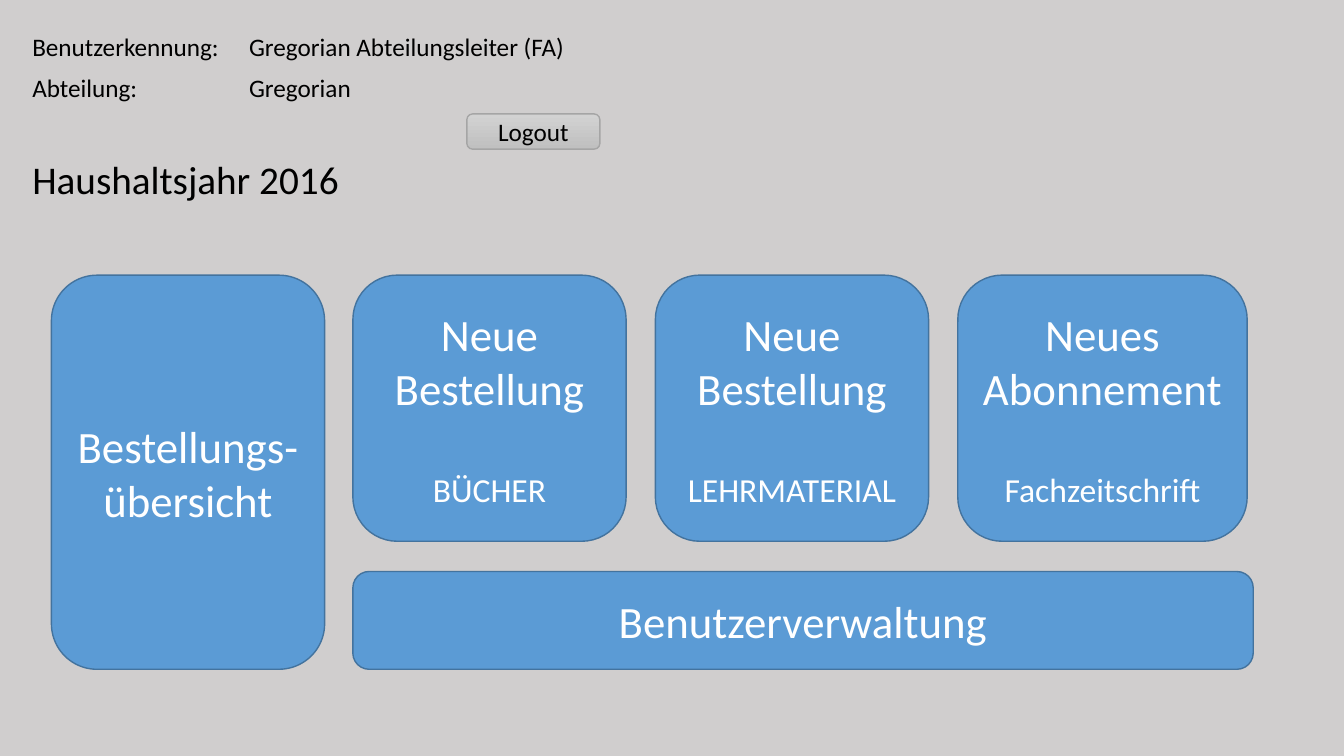
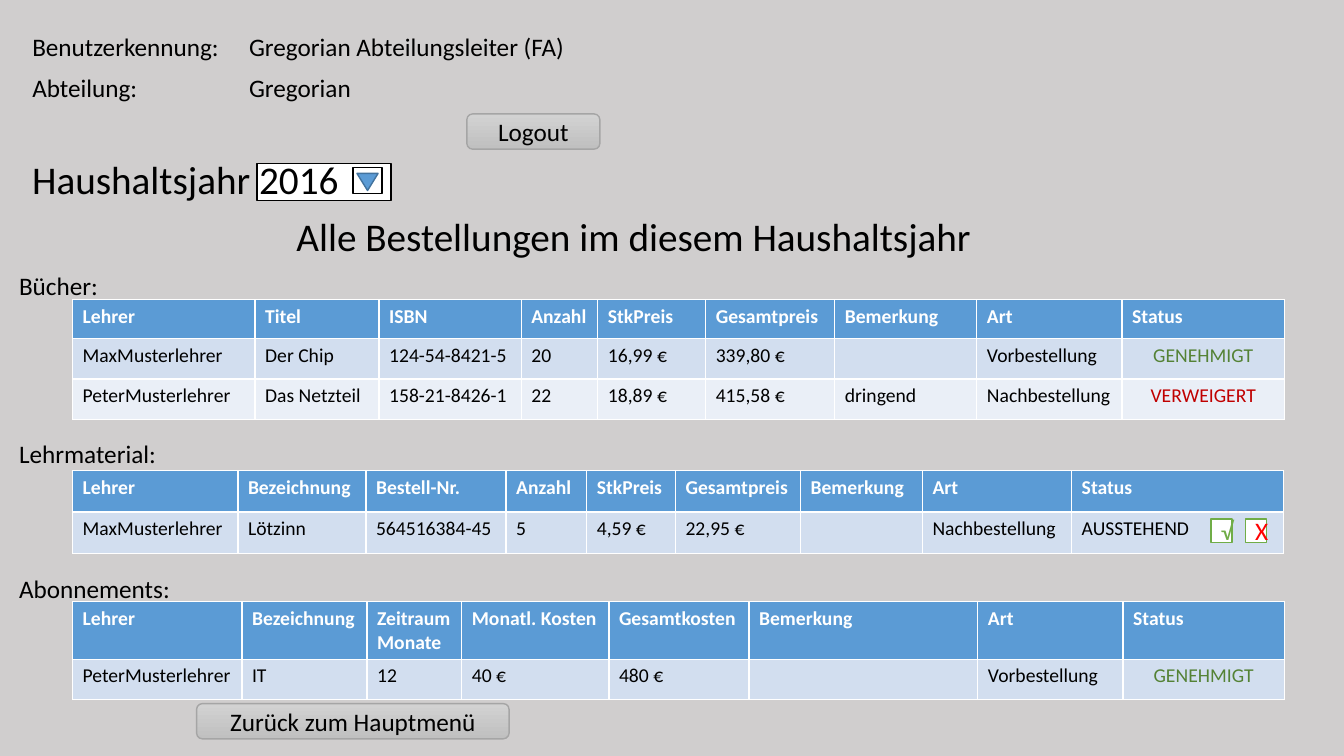
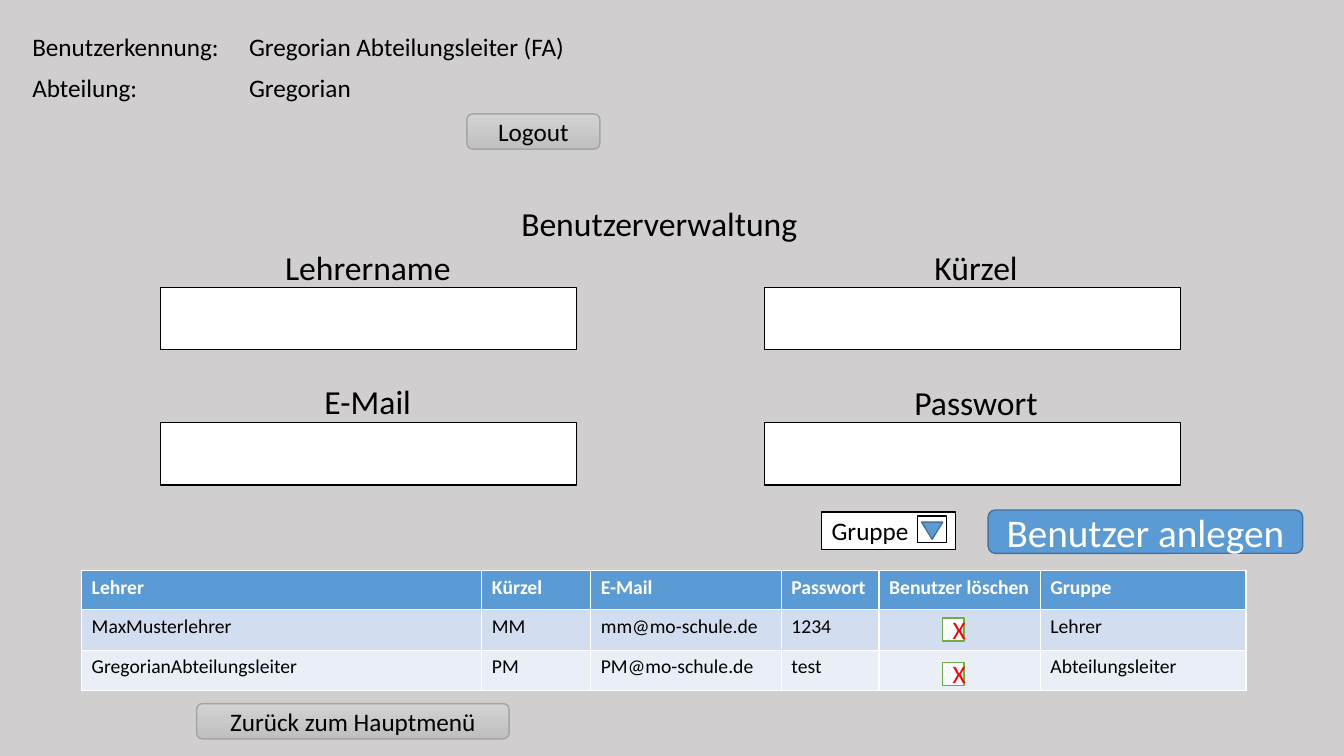
from pptx import Presentation
from pptx.dml.color import RGBColor
from pptx.enum.shapes import MSO_SHAPE
from pptx.enum.text import MSO_ANCHOR, MSO_AUTO_SIZE, PP_ALIGN
from pptx.oxml.ns import qn
from pptx.util import Inches, Pt

FONT = "Calibri"
BACKGROUND = RGBColor(0xD0, 0xCE, 0xCE)
BLACK = RGBColor(0x00, 0x00, 0x00)
WHITE = RGBColor(0xFF, 0xFF, 0xFF)
BLUE = RGBColor(0x5B, 0x9B, 0xD5)
DARK_BLUE = RGBColor(0x43, 0x73, 0x9E)
BAND_DARK = RGBColor(0xD2, 0xDE, 0xEF)
BAND_LIGHT = RGBColor(0xEA, 0xEF, 0xF7)
BUTTON_TOP = RGBColor(0xD2, 0xD2, 0xD2)
BUTTON_BOTTOM = RGBColor(0xC0, 0xC0, 0xC0)
BUTTON_LINE = RGBColor(0xA5, 0xA5, 0xA5)
GREEN = RGBColor(0x70, 0xAD, 0x47)
RED = RGBColor(0xFF, 0x00, 0x00)
STATUS_COLORS = {
    "GENEHMIGT": RGBColor(0x54, 0x82, 0x35),
    "VERWEIGERT": RGBColor(0xC0, 0x00, 0x00),
}
PLAIN_TABLE_STYLE = "{2D5ABB26-0587-4C30-8999-92F81FD0307C}"


def write_text(frame, text, size=18, color=BLACK, bold=False, align=PP_ALIGN.LEFT, space_before=0):
    for line in text.split("\n"):
        paragraph = frame.add_paragraph() if frame.text else frame.paragraphs[0]
        paragraph.alignment = align
        paragraph.space_before = Pt(space_before)
        run = paragraph.add_run()
        run.text = line
        run.font.name = FONT
        run.font.size = Pt(size)
        run.font.bold = bold
        run.font.color.rgb = color


def draw_shape(slide, kind, box, fill, line, text="", align=PP_ALIGN.CENTER, **text_format):
    shape = slide.shapes.add_shape(kind, *map(Inches, box))
    shape.shadow.inherit = False
    if fill == BUTTON_TOP:
        shape.fill.gradient()
        shape.fill.gradient_angle = 270
        for stop, color in zip(shape.fill.gradient_stops, (BUTTON_TOP, BUTTON_BOTTOM)):
            stop.color.rgb = color
    else:
        shape.fill.solid()
        shape.fill.fore_color.rgb = fill
    shape.line.color.rgb = line
    shape.line.width = Pt(1)
    if text:
        write_text(shape.text_frame, text, align=align, **text_format)
    return shape


presentation = Presentation()
presentation.slide_width = Inches(13.33)
presentation.slide_height = Inches(7.5)
master_fill = presentation.slide_master.background.fill
master_fill.solid()
master_fill.fore_color.rgb = BACKGROUND

YEAR_BOX = (0.22, 1.49, 3.28, 0.57)
titles = [
    ("Haushaltsjahr 2016", YEAR_BOX, 28),
    ("Alle Bestellungen im diesem Haushaltsjahr", (2.84, 2.06, 6.96, 0.57), 28),
    ("Benutzerverwaltung", (5.07, 1.96, 2.97, 0.5), 24),
]
user_details = [
    ("Benutzerkennung:", "Gregorian Abteilungsleiter (FA)"),
    ("Abteilung:", "Gregorian"),
    ("", ""),
]
for text, box, size in titles:
    slide = presentation.slides.add_slide(presentation.slide_layouts[5])
    title = slide.shapes.title
    title.left, title.top, title.width, title.height = map(Inches, box)
    title.text_frame.word_wrap = False
    title.text_frame.auto_size = MSO_AUTO_SIZE.SHAPE_TO_FIT_TEXT
    title.text_frame.vertical_anchor = MSO_ANCHOR.TOP
    write_text(title.text_frame, text, size=size)

    user_table = slide.shapes.add_table(3, 2, *map(Inches, (0.22, 0.27, 5.73, 1.22))).table
    user_table.first_row = user_table.horz_banding = False
    user_table._tbl.tblPr.find(qn("a:tableStyleId")).text = PLAIN_TABLE_STYLE
    for column, width in zip(user_table.columns, (2.15, 3.57)):
        column.width = Inches(width)
    for row, texts in zip(user_table.rows, user_details):
        row.height = Inches(0.41)
        for cell, cell_text in zip(row.cells, texts):
            write_text(cell.text_frame, cell_text)
    draw_shape(slide, MSO_SHAPE.ROUNDED_RECTANGLE, (4.63, 1.13, 1.32, 0.35),
               BUTTON_TOP, BUTTON_LINE, "Logout")

menu_slide, orders_slide, users_slide = presentation.slides

data_tables = [
    (orders_slide, 0.72, 2.97, (1.81, 1.23, 1.41, 0.76, 1.07, 1.28, 1.41, 1.44, 1.61), (0.39, 0.4, 0.4), [
        ("Lehrer", "Titel", "ISBN", "Anzahl", "StkPreis", "Gesamtpreis", "Bemerkung", "Art", "Status"),
        ("MaxMusterlehrer", "Der Chip", "124-54-8421-5", "20", "16,99 €", "339,80 €", "",
         "Vorbestellung", "GENEHMIGT"),
        ("PeterMusterlehrer", "Das Netzteil", "158-21-8426-1", "22", "18,89 €", "415,58 €", "dringend",
         "Nachbestellung", "VERWEIGERT"),
    ]),
    (orders_slide, 0.72, 4.67, (1.64, 1.27, 1.39, 0.8, 0.88, 1.24, 1.21, 1.48, 2.1), (0.41, 0.41), [
        ("Lehrer", "Bezeichnung", "Bestell-Nr.", "Anzahl", "StkPreis", "Gesamtpreis", "Bemerkung",
         "Art", "Status"),
        ("MaxMusterlehrer", "Lötzinn", "564516384-45", "5", "4,59 €", "22,95 €", "",
         "Nachbestellung", "AUSSTEHEND"),
    ]),
    (orders_slide, 0.72, 5.97, (1.68, 1.24, 0.94, 1.46, 1.39, 2.27, 1.44, 1.6), (0.57, 0.37), [
        ("Lehrer", "Bezeichnung", "Zeitraum\nMonate", "Monatl. Kosten", "Gesamtkosten", "Bemerkung",
         "Art", "Status"),
        ("PeterMusterlehrer", "IT", "12", "40 €", "480 €", "", "Vorbestellung", "GENEHMIGT"),
    ]),
    (users_slide, 0.81, 5.66, (3.97, 1.08, 1.89, 0.97, 1.6, 2.04), (0.39, 0.4, 0.4), [
        ("Lehrer", "Kürzel", "E-Mail", "Passwort", "Benutzer löschen", "Gruppe"),
        ("MaxMusterlehrer", "MM", "mm@mo-schule.de", "1234", "", "Lehrer"),
        ("GregorianAbteilungsleiter", "PM", "PM@mo-schule.de", "test", "", "Abteilungsleiter"),
    ]),
]
for slide, left, top, widths, heights, records in data_tables:
    frame = slide.shapes.add_table(len(heights), len(widths), Inches(left), Inches(top),
                                   Inches(sum(widths)), Inches(sum(heights)))
    for column, width in zip(frame.table.columns, widths):
        column.width = Inches(width)
    row_fills = (BLUE, BAND_DARK, BAND_LIGHT)
    for row, height, texts, row_fill in zip(frame.table.rows, heights, records, row_fills):
        row.height = Inches(height)
        is_header = row_fill == BLUE
        for cell, text in zip(row.cells, texts):
            cell.fill.solid()
            cell.fill.fore_color.rgb = row_fill
            write_text(cell.text_frame, text, size=14, bold=is_header,
                       color=WHITE if is_header else STATUS_COLORS.get(text, BLACK),
                       align=PP_ALIGN.CENTER if text in STATUS_COLORS else PP_ALIGN.LEFT)

blue_buttons = [
    (menu_slide, (0.51, 2.73, 2.71, 3.91), "Bestellungs-übersicht", "", 32),
    (menu_slide, (3.5, 2.73, 2.71, 2.64), "Neue Bestellung", "BÜCHER", 32),
    (menu_slide, (6.5, 2.73, 2.71, 2.64), "Neue Bestellung", "LEHRMATERIAL", 32),
    (menu_slide, (9.5, 2.73, 2.87, 2.64), "Neues Abonnement", "Fachzeitschrift", 32),
    (menu_slide, (3.5, 5.67, 8.93, 0.97), "Benutzerverwaltung", "", 32),
    (users_slide, (9.8, 5.06, 3.12, 0.43), "Benutzer anlegen", "", 28),
]
for slide, box, text, category, size in blue_buttons:
    button = draw_shape(slide, MSO_SHAPE.ROUNDED_RECTANGLE, box, BLUE, DARK_BLUE, text,
                        size=size, color=WHITE)
    if category:
        write_text(button.text_frame, category, size=24, color=WHITE,
                   align=PP_ALIGN.CENTER, space_before=39)

for left in (1.59, 7.58):
    for top in (2.85, 4.19):
        draw_shape(users_slide, MSO_SHAPE.RECTANGLE, (left, top, 4.13, 0.62), WHITE, BLACK)

for slide, left, top, text in ((orders_slide, 2.55, 1.62, ""), (users_slide, 8.15, 5.08, "Gruppe")):
    draw_shape(slide, MSO_SHAPE.RECTANGLE, (left, top, 1.33, 0.37), WHITE, BLACK, text,
               align=PP_ALIGN.LEFT)
    draw_shape(slide, MSO_SHAPE.RECTANGLE, (left + 0.95, top + 0.04, 0.29, 0.26), WHITE, BLACK)
    arrow = draw_shape(slide, MSO_SHAPE.ISOSCELES_TRIANGLE, (left + 0.99, top + 0.1, 0.21, 0.17),
                       BLUE, DARK_BLUE)
    arrow.rotation = 180
    draw_shape(slide, MSO_SHAPE.ROUNDED_RECTANGLE, (1.95, 6.98, 3.1, 0.35),
               BUTTON_TOP, BUTTON_LINE, "Zurück zum Hauptmenü")

labels = [
    (orders_slide, YEAR_BOX, "Haushaltsjahr 2016", 28),
    (orders_slide, (0.09, 2.63, 0.99, 0.4), "Bücher:", 18),
    (orders_slide, (0.09, 4.3, 1.58, 0.4), "Lehrmaterial:", 18),
    (orders_slide, (0.09, 5.64, 1.72, 0.4), "Abonnements:", 18),
    (users_slide, (2.73, 2.4, 1.86, 0.5), "Lehrername", 24),
    (users_slide, (3.12, 3.73, 1.07, 0.5), "E-Mail", 24),
    (users_slide, (9.17, 2.4, 1.04, 0.5), "Kürzel", 24),
    (users_slide, (8.97, 3.74, 1.43, 0.5), "Passwort", 24),
]
for slide, box, text, size in labels:
    label = slide.shapes.add_textbox(*map(Inches, box))
    label.text_frame.word_wrap = False
    label.text_frame.auto_size = MSO_AUTO_SIZE.SHAPE_TO_FIT_TEXT
    write_text(label.text_frame, text, size=size)

check_boxes = [
    (orders_slide, 12.01, 5.15, "√", GREEN),
    (orders_slide, 12.35, 5.15, "X", RED),
    (users_slide, 9.35, 6.13, "X", RED),
    (users_slide, 9.35, 6.57, "X", RED),
]
for slide, left, top, mark, color in check_boxes:
    draw_shape(slide, MSO_SHAPE.RECTANGLE, (left, top, 0.21, 0.23), WHITE, GREEN, mark, color=color)

presentation.save("out.pptx")
